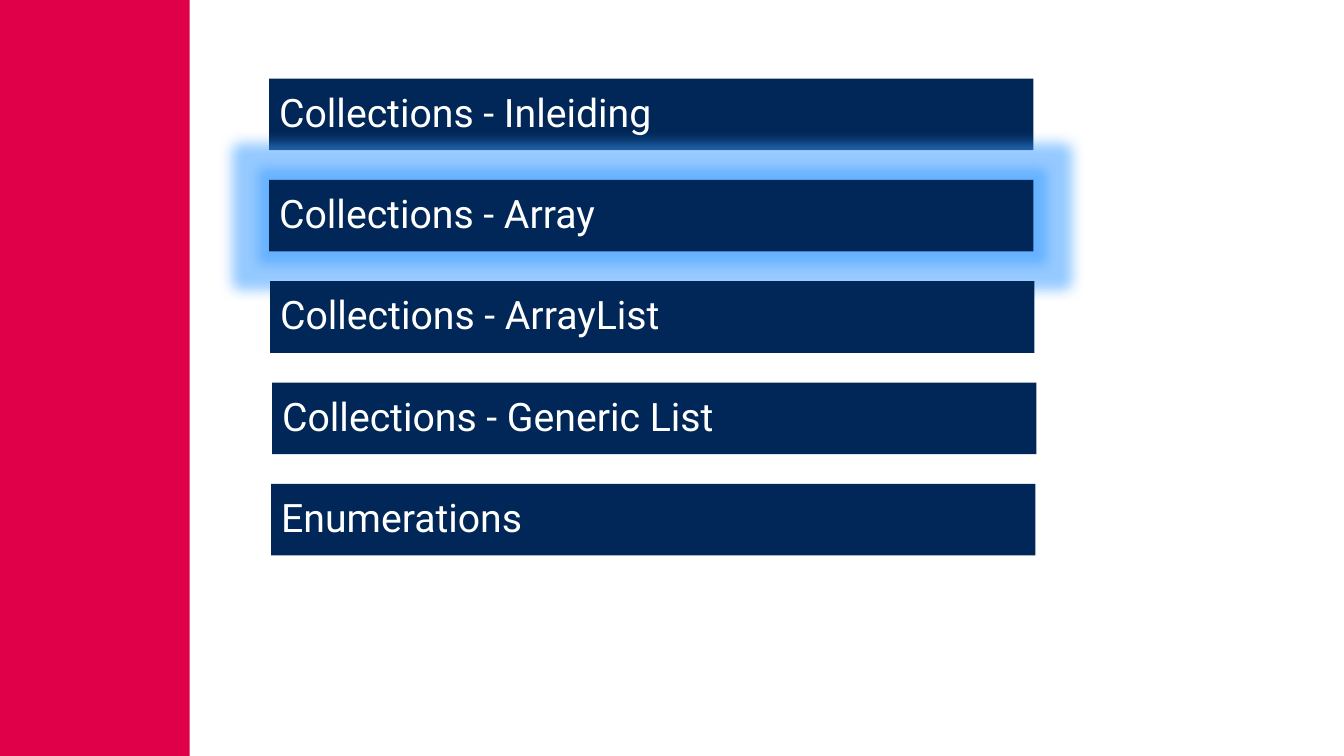
from lxml.etree import SubElement
from pptx import Presentation
from pptx.dml.color import RGBColor
from pptx.enum.shapes import MSO_SHAPE
from pptx.enum.text import MSO_ANCHOR, PP_ALIGN
from pptx.oxml.ns import qn
from pptx.util import Inches, Pt

RED = RGBColor(0xE0, 0x00, 0x49)
NAVY = RGBColor(0x00, 0x27, 0x57)
WHITE = RGBColor(0xFF, 0xFF, 0xFF)
GLOW = RGBColor(0x40, 0x9F, 0xFF)

TOPICS = [
    ("Collections - Inleiding", 2.67),
    ("Collections - Array", 2.67),
    ("Collections - ArrayList", 2.68),
    ("Collections - Generic List", 2.7),
    ("Enumerations", 2.69),
]
CURRENT = "Collections - Array"
TOP, STEP = 0.78, 1.005


def add_bar(s, left, top, width, height, color):
    sp = s.shapes.add_shape(MSO_SHAPE.RECTANGLE, Inches(left), Inches(top),
                            Inches(width), Inches(height))
    sp.shadow.inherit = False
    sp.fill.solid()
    sp.fill.fore_color.rgb = color
    sp.line.fill.background()
    return sp


def add_topic(s, text, left, top):
    sp = add_bar(s, left, top, 7.58, 0.71, NAVY)
    tf = sp.text_frame
    tf.word_wrap = True
    tf.vertical_anchor = MSO_ANCHOR.MIDDLE
    p = tf.paragraphs[0]
    p.alignment = PP_ALIGN.LEFT
    p.line_spacing = 0.9
    r = p.add_run()
    r.text = text
    r.font.name = "Roboto"
    r.font.size = Pt(28)
    r.font.color.rgb = WHITE
    return sp


def add_glow(sp, radius, color, opacity):
    """Surround a shape with a glow; opacity is in percent."""
    effects = sp.element.spPr.find(qn("a:effectLst"))
    glow = SubElement(effects, qn("a:glow"), rad=str(radius))
    clr = SubElement(glow, qn("a:srgbClr"), val=str(color))
    SubElement(clr, qn("a:alpha"), val=str(opacity * 1000))


def main():
    prs = Presentation()
    prs.slide_width, prs.slide_height = Inches(13.33), Inches(7.5)
    s = prs.slides.add_slide(prs.slide_layouts[6])
    add_bar(s, 0, 0, 1.88, 7.5, RED)
    for i, (text, left) in enumerate(TOPICS):
        sp = add_topic(s, text, left, TOP + i * STEP)
        if text == CURRENT:
            add_glow(sp, Inches(0.25), GLOW, 55)
    prs.save("out.pptx")


if __name__ == "__main__":
    main()
